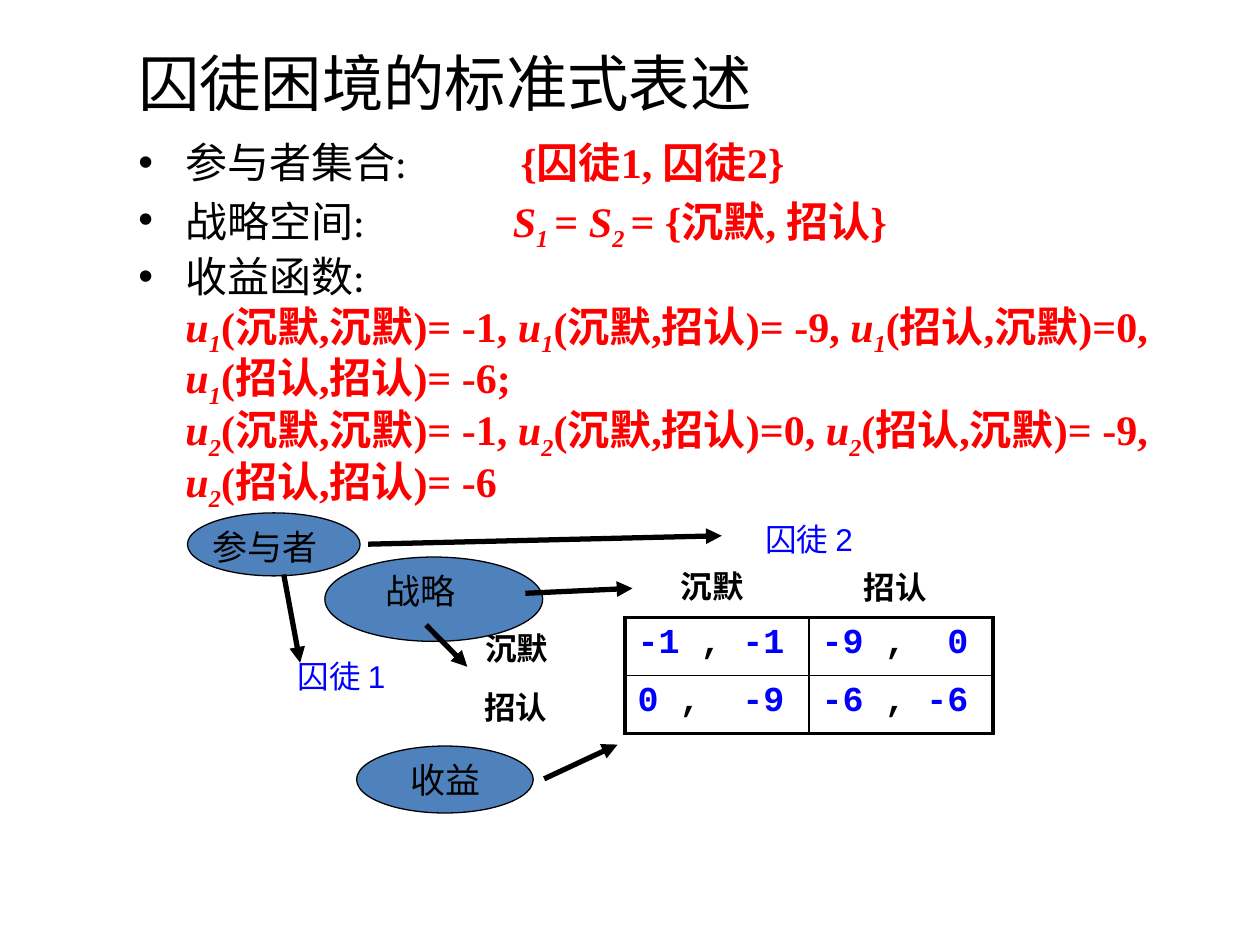
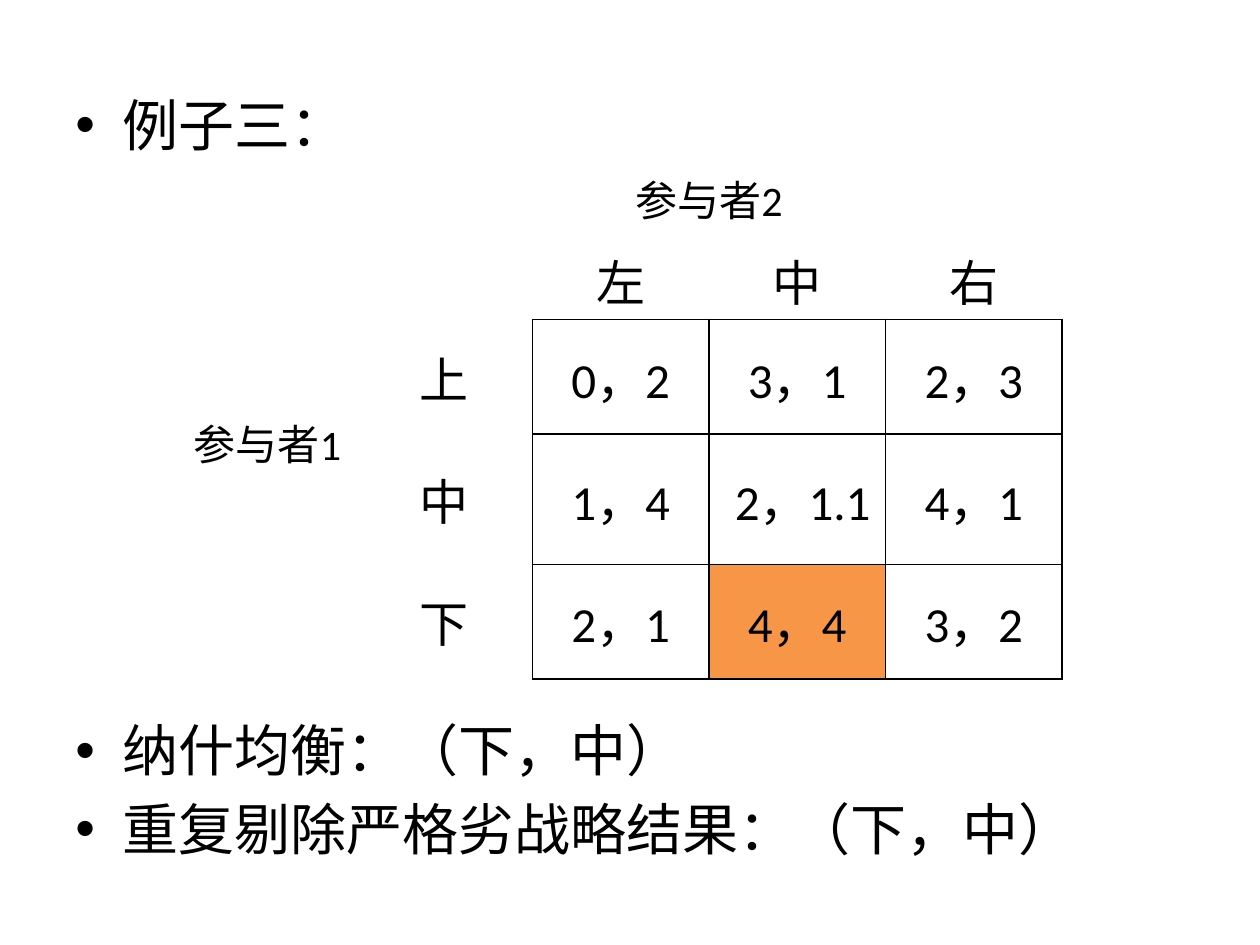
from dataclasses import dataclass

from lxml import etree
from pptx import Presentation
from pptx import util as u
from pptx.dml.color import RGBColor
from pptx.enum import shapes, text
from pptx.oxml import ns

Cm, Pt = u.Cm, u.Pt
CENTER, RIGHT = text.PP_ALIGN.CENTER, text.PP_ALIGN.RIGHT


@dataclass(frozen=True)
class Theme:
    """Colours, fonts and type sizes shared by the slides."""
    black: str = "000000"
    red: str = "FF0000"
    blue: str = "0000FF"
    oval: str = "4F81BD"
    highlight: str = "F79646"
    sans: str = "Arial"
    body: str = "Calibri"
    serif: str = "Times New Roman"
    mono: str = "Courier New"
    title: float = 35.1
    bullet: float = 32
    grid: float = 28
    text: float = 24
    oval_text: float = 20
    label: float = 18


T = Theme()


def style(font, name=None, size=None, color=None, bold=None, italic=None):
    """Set the given properties of a font."""
    if name:
        font.name = name
    if size:
        font.size = Pt(size)
    if color:
        font.color.rgb = RGBColor.from_string(color)
    if bold is not None:
        font.bold = bold
    if italic is not None:
        font.italic = italic


def child(parent, tag, **attrs):
    """Append a DrawingML element."""
    el = etree.SubElement(parent, ns.qn(tag))
    for key, value in attrs.items():
        el.set(key, str(value))
    return el


def add_tabs(p, *stops):
    """Give a paragraph tab stops as (centimetres, alignment) pairs."""
    tabs = child(p._p.get_or_add_pPr(), "a:tabLst")
    for pos, algn in stops:
        child(tabs, "a:tab", pos=int(Cm(pos)), algn=algn)


def add_bullet(p, tab=None):
    """Give a paragraph a hanging bullet and an optional tab stop."""
    pPr = p._p.get_or_add_pPr()
    pPr.set("marL", str(int(Cm(0.95))))
    pPr.set("indent", str(-int(Cm(0.95))))
    child(pPr, "a:buFont", typeface=T.sans)
    child(pPr, "a:buChar", char="•")
    if tab:
        add_tabs(p, (tab, "l"))


def add_run(p, words, sub=False, **font):
    """Append a run, optionally as a subscript."""
    r = p.add_run()
    r.text = words
    style(r.font, **font)
    if sub:
        r.font._element.set("baseline", "-25000")


def add_frame(s, x, y, w, h):
    """Add a wrapping text box and return its text frame."""
    tf = s.shapes.add_textbox(Cm(x), Cm(y), Cm(w), Cm(h)).text_frame
    tf.word_wrap = True
    return tf


def add_label(s, words, x, y, w, h=1.02, align=None, **font):
    """Add a one-paragraph text box."""
    tf = add_frame(s, x, y, w, h)
    p = tf.paragraphs[0]
    p.alignment = align
    style(p.font, **font)
    p.add_run().text = words
    return tf


def add_oval(s, words, oval, label, inset):
    """Add a filled ellipse with its caption."""
    sp = s.shapes.add_shape(shapes.MSO_SHAPE.OVAL, *map(Cm, oval))
    sp.shadow.inherit = False
    sp.fill.solid()
    sp.fill.fore_color.rgb = RGBColor.from_string(T.oval)
    sp.line.color.rgb = RGBColor.from_string(T.black)
    sp.line.width = Pt(0.75)
    tf = add_label(s, words, *label, 1.1, name=T.sans, size=T.oval_text, color=T.black)
    tf.margin_left = Cm(inset)


def add_arrow(s, *ends):
    """Add a thick straight arrow."""
    cn = s.shapes.add_connector(shapes.MSO_CONNECTOR.STRAIGHT, *map(Cm, ends))
    cn.line.color.rgb = RGBColor.from_string(T.black)
    cn.line.width = Pt(3)
    child(cn.line._get_or_add_ln(), "a:tailEnd", type="triangle")
    child(cn._element.spPr, "a:effectLst")


def add_table(s, x, y, widths, heights):
    """Add a table without banding and return it."""
    table = s.shapes.add_table(len(heights), len(widths), Cm(x), Cm(y),
                               Cm(sum(widths)), Cm(sum(heights))).table
    table.first_row = table.horz_banding = False
    for col, w in zip(table.columns, widths):
        col.width = Cm(w)
    for row, h in zip(table.rows, heights):
        row.height = Cm(h)
    return table


def format_cell(cell, borders, fill=None):
    """Draw the borders given as side-to-points and set the fill."""
    tcPr = cell._tc.get_or_add_tcPr()
    for side in "LRTB":
        width = borders.get(side)
        ln = child(tcPr, f"a:ln{side}", w=int(Pt(width or 1)))
        if width:
            child(child(ln, "a:solidFill"), "a:srgbClr", val=T.black)
        else:
            child(ln, "a:noFill")
    if fill:
        cell.fill.solid()
        cell.fill.fore_color.rgb = RGBColor.from_string(fill)
    else:
        cell.fill.background()


def add_definitions(s):
    """Add the three bullets that define the game."""
    red = dict(name=T.serif, color=T.red, bold=True)
    tf = add_frame(s, 2.54, 2.74, 21.39, 7.57)
    paragraphs = [tf.paragraphs[0], tf.add_paragraph(), tf.add_paragraph()]
    heads = [("参与者集合:\t", 7.7), ("战略空间:\t", 7.55), ("收益函数:", None)]
    for i, (p, (head, tab)) in enumerate(zip(paragraphs, heads)):
        add_bullet(p, tab)
        p.line_spacing = 0.9
        if i:
            p.space_before = Pt(4.8)
        style(p.font, size=T.text)
        add_run(p, head, name=T.body, color=T.black)

    players, strategies, payoffs = paragraphs
    add_run(players, "{囚徒1, 囚徒2}", **red)
    for player, after in (("1 ", "= "), ("2 ", "= {沉默, 招认}")):
        add_run(strategies, "S", italic=True, **red)
        add_run(strategies, player, sub=True, italic=True, **red)
        add_run(strategies, after, **red)
    values = {
        "1": ["(沉默,沉默)= -1, ", "(沉默,招认)= -9, ", "(招认,沉默)=0, ", "(招认,招认)= -6;"],
        "2": ["(沉默,沉默)= -1, ", "(沉默,招认)=0, ", "(招认,沉默)= -9, ", "(招认,招认)= -6"],
    }
    for player, outcomes in values.items():
        payoffs.add_line_break()
        for outcome in outcomes:
            add_run(payoffs, "u", italic=True, **red)
            add_run(payoffs, player, sub=True, italic=True, **red)
            add_run(payoffs, outcome, **red)


def add_dilemma_matrix(s):
    """Add the two-by-two payoff table."""
    payoffs = [[("-1", "-1"), ("-9", "0")], [("0", "-9"), ("-6", "-6")]]
    table = add_table(s, 12.6, 12.45, [3.71] * 2, [1.17] * 2)
    for i, row in enumerate(payoffs):
        for j, (first, second) in enumerate(row):
            cell = table.cell(i, j)
            format_cell(cell, {"L": 1 if j else 2.25, "R": 2.25 if j else 1,
                               "T": 1 if i else 2.25, "B": 2.25 if i else 1})
            p = cell.text_frame.paragraphs[0]
            add_tabs(p, (0.85, "r"), (2.96, "r"))
            style(p.font, T.mono, T.oval_text, bold=True)
            add_run(p, f"\t{first}", color=T.blue)
            add_run(p, " ,", color=T.black)
            add_run(p, f"\t{second}", color=T.blue)


def build_dilemma(s):
    """Build the normal-form slide of the prisoner's dilemma."""
    title = add_label(s, "囚徒困境的标准式表述", 2.54, 0.76, 21.59, 1.78,
                      name=T.sans, size=T.title, color=T.black)
    title.vertical_anchor = text.MSO_ANCHOR.MIDDLE
    add_definitions(s)
    add_dilemma_matrix(s)
    for words, x, y, w, align in (("囚徒 1", 4.24, 13.13, 3.78, RIGHT),
                                  ("囚徒 2", 14.43, 10.36, 3.76, CENTER)):
        add_label(s, words, x, y, w, align=align, name=T.sans, size=T.label, color=T.blue)
    for words, x, y, w in (("招认", 16.26, 11.33, 3.58), ("沉默", 8.53, 12.55, 3.78),
                           ("招认", 8.51, 13.74, 3.78), ("沉默", 12.57, 11.3, 3.58)):
        add_label(s, words, x, y, w, align=CENTER, name=T.serif, size=T.label,
                  color=T.black, bold=True)
    add_oval(s, "参与者", (3.78, 10.34, 3.48, 1.27), (4.04, 10.46, 3.4), 0.25)
    add_oval(s, "战略", (6.55, 11.23, 4.39, 1.7), (6.88, 11.35, 4.32), 0.89)
    add_oval(s, "收益", (7.19, 15.04, 3.56, 1.35), (7.7, 15.16, 3.71), 0.58)
    for ends in ((7.42, 10.97, 14.55, 10.8), (5.72, 11.58, 6.05, 13.36),
                 (10.59, 11.96, 12.75, 11.86), (8.59, 12.6, 9.42, 13.44),
                 (10.97, 15.7, 12.45, 15.01)):
        add_arrow(s, *ends)


def example_borders(i, j):
    """Return the borders of a cell: only the payoff block is ruled."""
    if i >= 2 and j >= 2:
        sides = "LRTB"
    elif i == 1 and j >= 2:
        sides = "B"
    elif i >= 2 and j == 1:
        sides = "R"
    else:
        sides = ""
    return dict.fromkeys(sides, 1)


def build_example(s):
    """Build the three-by-three example slide."""
    tf = add_frame(s, 1.27, 1.7, 22.86, 16.71)
    bullets = [("例子三：", None), ("纳什均衡：（下，中）", 319),
               ("重复剔除严格劣战略结果：（下，中）", 6.4)]
    for i, (words, before) in enumerate(bullets):
        p = tf.add_paragraph() if i else tf.paragraphs[0]
        add_bullet(p)
        if before:
            p.space_before = Pt(before)
        style(p.font, T.body, T.bullet, T.black)
        p.add_run().text = words

    grid = [["", "", "参与者2", "", ""],
            ["", "", "左", "中", "右"],
            ["参与者1", "上", "0，2", "3，1", "2，3"],
            ["", "中", "1，4", " 2，1.1", "4，1"],
            ["", "下", "2，1", "4，4", "3，2"]]
    table = add_table(s, 3.61, 3.18, [3.56] * 5, [1.63] * 2 + [2.31] * 3)
    table.cell(0, 2).merge(table.cell(0, 3))
    table.cell(2, 0).merge(table.cell(3, 0))
    for i, row in enumerate(grid):
        for j, words in enumerate(row):
            cell = table.cell(i, j)
            format_cell(cell, example_borders(i, j), T.highlight if words == "4，4" else None)
            if words:
                cell.vertical_anchor = text.MSO_ANCHOR.MIDDLE
                p = cell.text_frame.paragraphs[0]
                p.alignment = CENTER
                style(p.font, T.body, T.text if "参与者" in words else T.grid, T.black)
                p.add_run().text = words


def main():
    """Build and save the presentation."""
    prs = Presentation()
    prs.slide_width, prs.slide_height = Cm(25.4), Cm(19.05)
    for build in (build_dilemma, build_example):
        build(prs.slides.add_slide(prs.slide_layouts[6]))
    prs.save("out.pptx")


if __name__ == "__main__":
    main()
